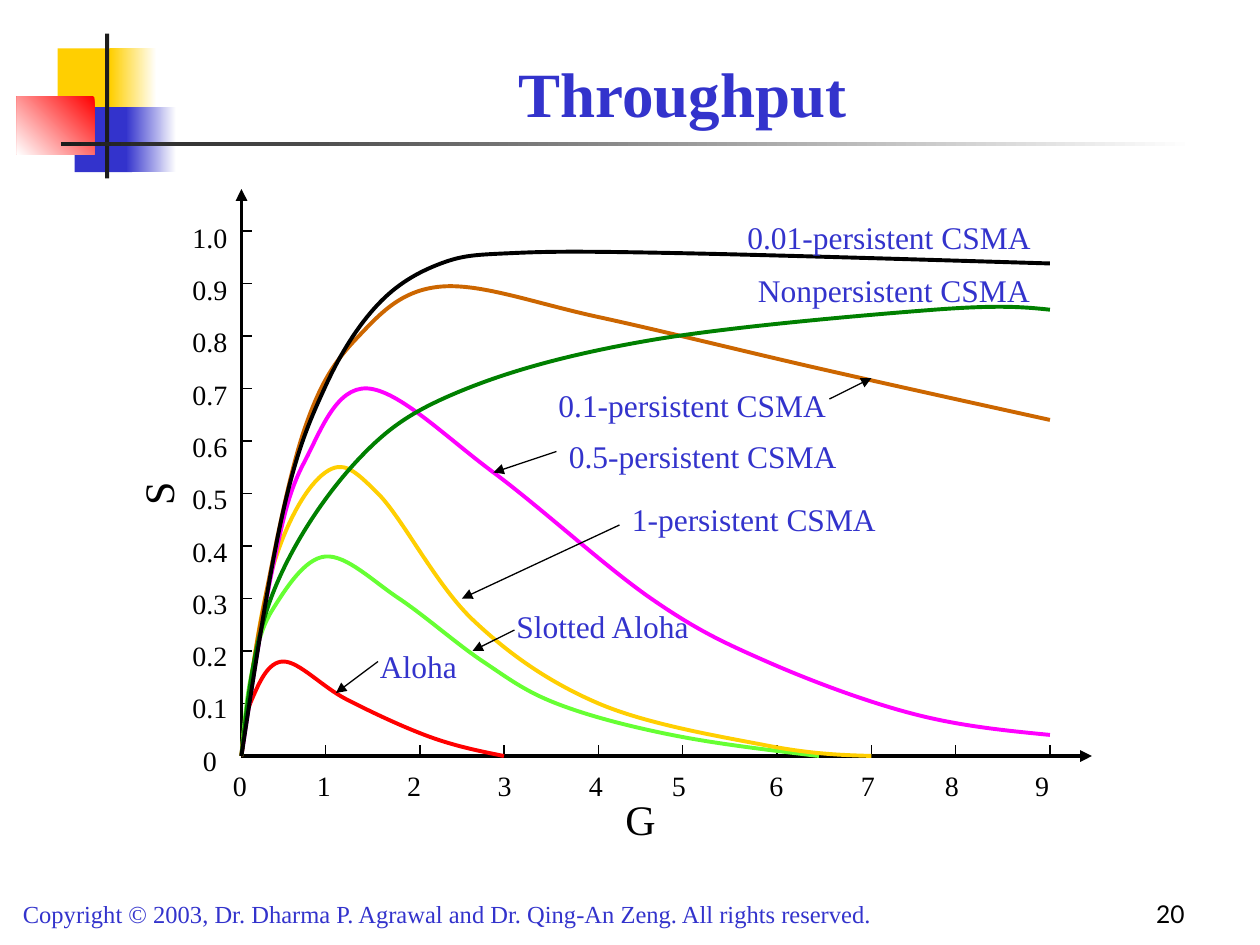
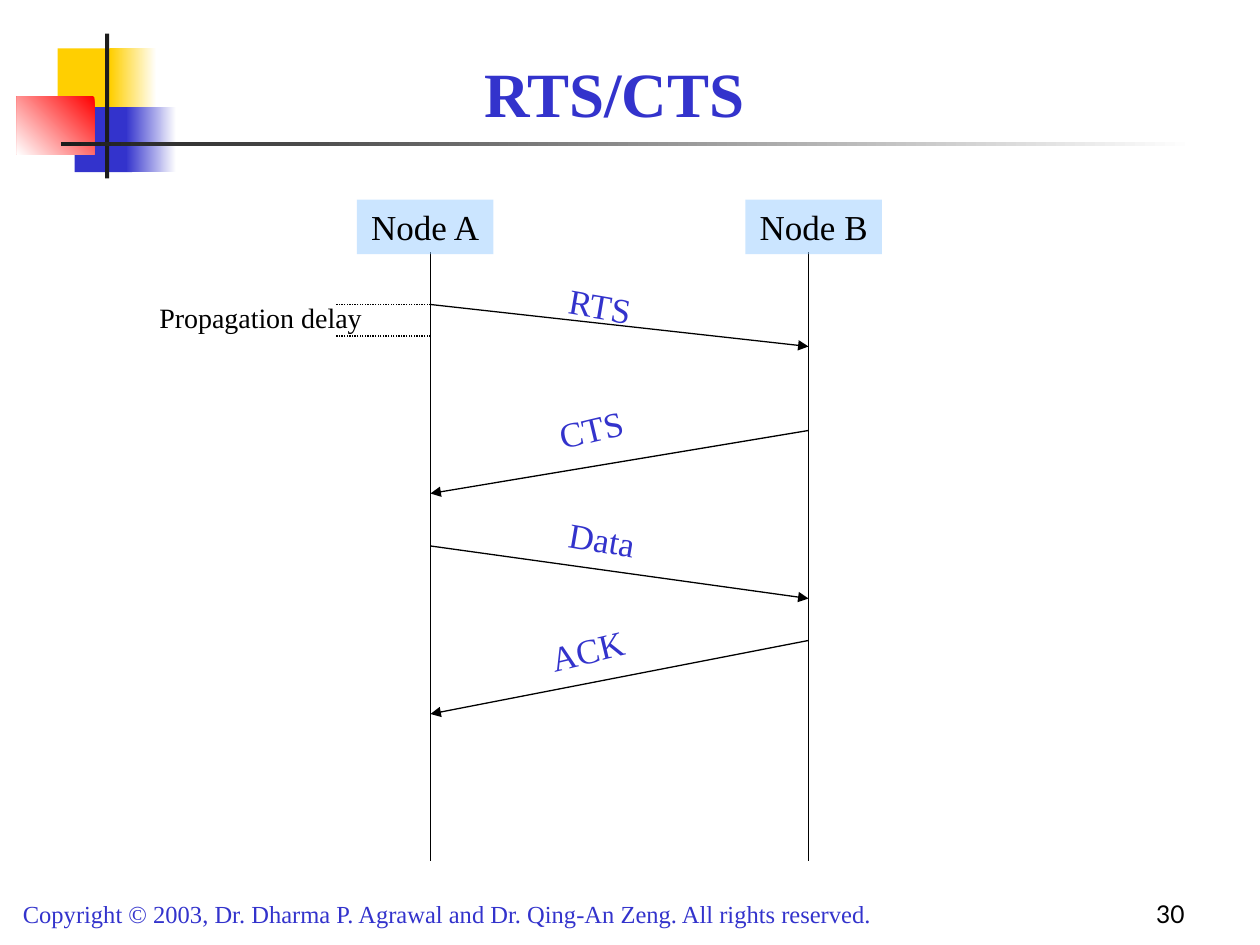
from typing import NamedTuple, Optional

from lxml.etree import SubElement
from pptx import Presentation
from pptx.dml.color import RGBColor
from pptx.enum.dml import MSO_LINE
from pptx.enum.shapes import MSO_CONNECTOR, MSO_SHAPE
from pptx.enum.text import MSO_ANCHOR, PP_ALIGN
from pptx.oxml.ns import qn
from pptx.util import Inches, Pt

COLORS = {
    "white": "FFFFFF", "black": "000000", "ink": "1C1C1C", "blue": "3333CC",
    "gold": "FFCF01", "red": "FF0000", "lime": "66FF33", "magenta": "FF00FF",
    "brown": "CC6600", "green": "008000", "sky": "99CCFF",
}
SERIF, SANS = "Times New Roman", "Lato"
LEFT, CENTER, RIGHT = PP_ALIGN.LEFT, PP_ALIGN.CENTER, PP_ALIGN.RIGHT
COLUMNS, ROWS = 120, 90
CELL = Inches(10) // COLUMNS
COPYRIGHT = ("Copyright © 2003, Dr. Dharma P. Agrawal and Dr. Qing-An Zeng. "
             "All rights reserved.")


class Box(NamedTuple):
    col: float
    row: float
    cols: float
    rows: float

    def emu(self) -> list[int]:
        return [round(v * CELL) for v in self]


class Block(NamedTuple):
    box: Box
    start: str
    end: Optional[str] = None
    angle: float = 180


class Label(NamedTuple):
    text: str
    box: Box
    size: float = 18
    color: str = "blue"
    align: PP_ALIGN = LEFT
    rotation: float = 0
    bold: bool = False
    anchor: MSO_ANCHOR = MSO_ANCHOR.TOP
    font: str = SERIF
    space: float = 0
    tabs: tuple = ()


class Line(NamedTuple):
    x1: float
    y1: float
    x2: float
    y2: float
    arrow: bool = False
    width: float = 0.75
    dotted: bool = False


class Curve(NamedTuple):
    color: str
    knots: tuple


MASTER_BLOCKS = (
    Block(Box(5.5, 4.6, 5.8, 6.2), "gold"),
    Block(Box(10.5, 4.6, 4.4, 6.2), "white", "gold"),
    Block(Box(7.1, 10.2, 5.5, 6.2), "blue"),
    Block(Box(12, 10.2, 4.8, 6.2), "white", "blue"),
    Block(Box(1.6, 9.2, 7.4, 5.5), "red", "white", 225),
    Block(Box(10, 3.2, 0.4, 13.8), "ink"),
    Block(Box(5.8, 13.55, 108, 0.4), "white", "ink"),
)

ORIGIN_X, ORIGIN_Y, TICK = 23, 72, 1
X_TICKS = (31, 40, 48, 57, 65, 74, 83, 91, 100)
X_LABEL_TABS = (8, 16.6, 25.2, 33.9, 41.8, 51.1, 59.8, 67.8, 76.4)
Y_STEP = 5

CURVES = (
    Curve("red", ((23, 72), (24, 66.6), (27, 63), (33, 66.6), (41, 70.2), (48, 72))),
    Curve("lime", ((23, 72), (24, 64), (26, 58), (31, 53), (38, 57), (46, 63),
                   (53, 67), (64, 70), (78, 72))),
    Curve("gold", ((23, 72), (26, 54), (31, 45), (36, 47), (45, 59), (57, 67),
                   (73, 71), (83, 72))),
    Curve("magenta", ((23, 72), (26, 54), (29, 44), (35, 37), (47, 45), (62, 57),
                      (73, 63), (87, 68), (100, 70))),
    Curve("brown", ((23, 72), (25, 58.4), (29, 40.9), (34, 32.2), (42, 27.3),
                    (57, 30.2), (78, 35.1), (100, 40))),
    Curve("green", ((23, 72), (26, 56.5), (34, 43.9), (44, 37.2), (62, 32.4),
                    (89, 29.5), (100, 29.5))),
    Curve("black", ((23, 72), (27, 48.6), (31, 36.8), (36, 29), (42, 25.1),
                    (49, 24.1), (64, 24.1), (100, 25.1))),
)
CURVE_LABELS = (
    Label("Aloha", Box(35, 61, 15, 4.8)),
    Label("Slotted Aloha", Box(48, 57.2, 19, 4.8)),
    Label("1-persistent CSMA", Box(59, 47, 26, 4.8)),
    Label("0.5-persistent CSMA", Box(53, 41, 28, 4.8)),
    Label("0.1-persistent CSMA", Box(52, 36.2, 28, 4.8)),
    Label("0.01-persistent CSMA", Box(70, 20.2, 31, 4.8)),
    Label("Nonpersistent CSMA", Box(71, 25.2, 31, 4.8)),
)
CURVE_POINTERS = (
    Line(49, 60, 45, 62, True),
    Line(59, 50, 44, 57, True),
    Line(36, 63, 32, 66, True),
    Line(53, 43, 47, 45, True),
    Line(79, 38, 83, 36, True),
)

NODE_A, NODE_B = 41, 77
NODES = (("Node A", 34), ("Node B", 71))
MESSAGES = (
    (Line(NODE_A, 29, NODE_B, 33, True), "RTS", 53, 26.8, 9.7),
    (Line(NODE_B, 41, NODE_A, 47, True), "CTS", 52, 37.8, 346.6),
    (Line(NODE_A, 52, NODE_B, 57, True), "Data", 53, 49, 9.7),
    (Line(NODE_B, 61, NODE_A, 68, True), "ACK", 51.2, 59, 346.6),
)


def rgb(name: str) -> RGBColor:
    return RGBColor.from_string(COLORS[name])


def write(sp, label: Label) -> None:
    tf = sp.text_frame
    tf.word_wrap = True
    tf.vertical_anchor = label.anchor
    for i, text in enumerate(label.text.split("\n")):
        p = tf.add_paragraph() if i else tf.paragraphs[0]
        p.alignment = label.align
        if i:
            p.space_before = Pt(label.space)
        if label.tabs:
            stops = SubElement(p._p.get_or_add_pPr(), qn("a:tabLst"))
            for tab in label.tabs:
                SubElement(stops, qn("a:tab"), pos=str(round(tab * CELL)), algn="l")
        r = p.add_run()
        r.text = text
        r.font.size, r.font.name, r.font.bold = Pt(label.size), label.font, label.bold
        r.font.color.rgb = rgb(label.color)


def add_label(s, label: Label) -> None:
    sp = s.shapes.add_textbox(*label.box.emu())
    sp.rotation = label.rotation
    write(sp, label)


def add_block(s, block: Block):
    sp = s.shapes.add_shape(MSO_SHAPE.RECTANGLE, *block.box.emu())
    sp.shadow.inherit = False
    sp.line.fill.background()
    if block.end:
        sp.fill.gradient()
        sp.fill.gradient_angle = block.angle
        for stop, name in zip(sp.fill.gradient_stops, (block.start, block.end)):
            stop.color.rgb = rgb(name)
    else:
        sp.fill.solid()
        sp.fill.fore_color.rgb = rgb(block.start)
    return sp


def add_line(s, line: Line) -> None:
    ends = [round(v * CELL) for v in line[:4]]
    sp = s.shapes.add_connector(MSO_CONNECTOR.STRAIGHT, *ends)
    sp.line.color.rgb = rgb("black")
    sp.line.width = Pt(line.width)
    if line.dotted:
        sp.line.dash_style = MSO_LINE.ROUND_DOT
    if line.arrow:
        SubElement(sp.line._get_or_add_ln(), qn("a:tailEnd"), type="triangle")
    SubElement(sp._element.spPr, qn("a:effectLst"))


def spline(knots: tuple) -> list[complex]:
    pts = [complex(*k) for k in knots]
    last = len(pts) - 1
    slope = [(pts[min(i + 1, last)] - pts[max(i - 1, 0)]) / 6 for i in range(last + 1)]
    path = [pts[0]]
    for i in range(last):
        c1, c2 = pts[i] + slope[i], pts[i + 1] - slope[i + 1]
        if i == 0:
            c1 = (pts[0] + c2) / 2
        if i == last - 1:
            c2 = (c1 + pts[last]) / 2
        path += [c1, c2, pts[i + 1]]
    return path


def add_curve(s, curve: Curve) -> None:
    start, *rest = [(z.real * CELL, z.imag * CELL) for z in spline(curve.knots)]
    builder = s.shapes.build_freeform(*start)
    builder.add_line_segments(rest, close=False)
    sp = builder.convert_to_shape()
    sp.shadow.inherit = False
    sp.fill.background()
    sp.line.color.rgb = rgb(curve.color)
    sp.line.width = Pt(2.25)
    outline = next(sp._element.iter(qn("a:path")))
    segments = outline.findall(qn("a:lnTo"))
    for i in range(0, len(segments), 3):
        bezier = SubElement(outline, qn("a:cubicBezTo"))
        for segment in segments[i:i + 3]:
            bezier.append(segment[0])
            outline.remove(segment)


def add_page(prs, title: str, title_box: Box, number: int):
    s = prs.slides.add_slide(prs.slide_layouts[6])
    for block in MASTER_BLOCKS:
        add_block(s, block)
    add_label(s, Label(COPYRIGHT, Box(1, 85, 91, 4), 14))
    add_label(s, Label(title, title_box, 36, align=CENTER, bold=True,
                       anchor=MSO_ANCHOR.BOTTOM))
    add_label(s, Label(str(number), Box(89, 83, 25, 6), 14, "black", RIGHT,
                       anchor=MSO_ANCHOR.BOTTOM, font=SANS))
    return s


def add_throughput(prs) -> None:
    s = add_page(prs, "Throughput", Box(14, 1, 102, 12), 20)
    add_line(s, Line(ORIGIN_X, ORIGIN_Y, ORIGIN_X, 18, True, 2.25))
    add_line(s, Line(ORIGIN_X, ORIGIN_Y, 104, ORIGIN_Y, True, 2.25))
    for i in range(1, 11):
        y = ORIGIN_Y - i * Y_STEP
        add_line(s, Line(ORIGIN_X, y, ORIGIN_X + TICK, y))
    for x in X_TICKS:
        add_line(s, Line(x, ORIGIN_Y - TICK, x, ORIGIN_Y))
    x_text = "\t".join(str(n) for n in range(10))
    y_text = "\n".join([f"{n / 10:.1f}" for n in range(10, 0, -1)] + ["0"])
    add_label(s, Label(x_text, Box(21, 72.6, 82, 4.4), 16, "black", tabs=X_LABEL_TABS))
    add_label(s, Label("G", Box(54, 75, 14, 6), 24, "black", CENTER))
    add_label(s, Label(y_text, Box(17, 20.4, 6, 53), 16, "black", CENTER, space=10.7))
    add_label(s, Label("S", Box(9, 44, 12, 6), 24, "black", CENTER, 270))
    for curve in CURVES:
        add_curve(s, curve)
    for label in CURVE_LABELS:
        add_label(s, label)
    for pointer in CURVE_POINTERS:
        add_line(s, pointer)


def add_handshake(prs) -> None:
    s = add_page(prs, "RTS/CTS", Box(12, 3, 93, 10), 30)
    for x in (NODE_A, NODE_B):
        add_line(s, Line(x, 24, x, 82))
    for line, text, col, row, angle in MESSAGES:
        add_line(s, line)
        add_label(s, Label(text, Box(col, row, 12, 5.2), 20, rotation=angle))
    for name, col in NODES:
        box = Box(col, 19, 13, 5.2)
        sp = add_block(s, Block(box, "sky"))
        color = next(sp._element.spPr.iter(qn("a:srgbClr")))
        SubElement(color, qn("a:alpha"), val="50000")
        write(sp, Label(name, box, 20, "black", CENTER))
    for y in (29, 32):
        add_line(s, Line(NODE_A, y, 32, y, dotted=True))
    add_label(s, Label("Propagation delay", Box(14, 28, 23, 4.4), 16, "black"))


def main() -> None:
    """Build the throughput and RTS/CTS slides."""
    prs = Presentation()
    prs.slide_width, prs.slide_height = COLUMNS * CELL, ROWS * CELL
    add_throughput(prs)
    add_handshake(prs)
    prs.save("out.pptx")


if __name__ == "__main__":
    main()
